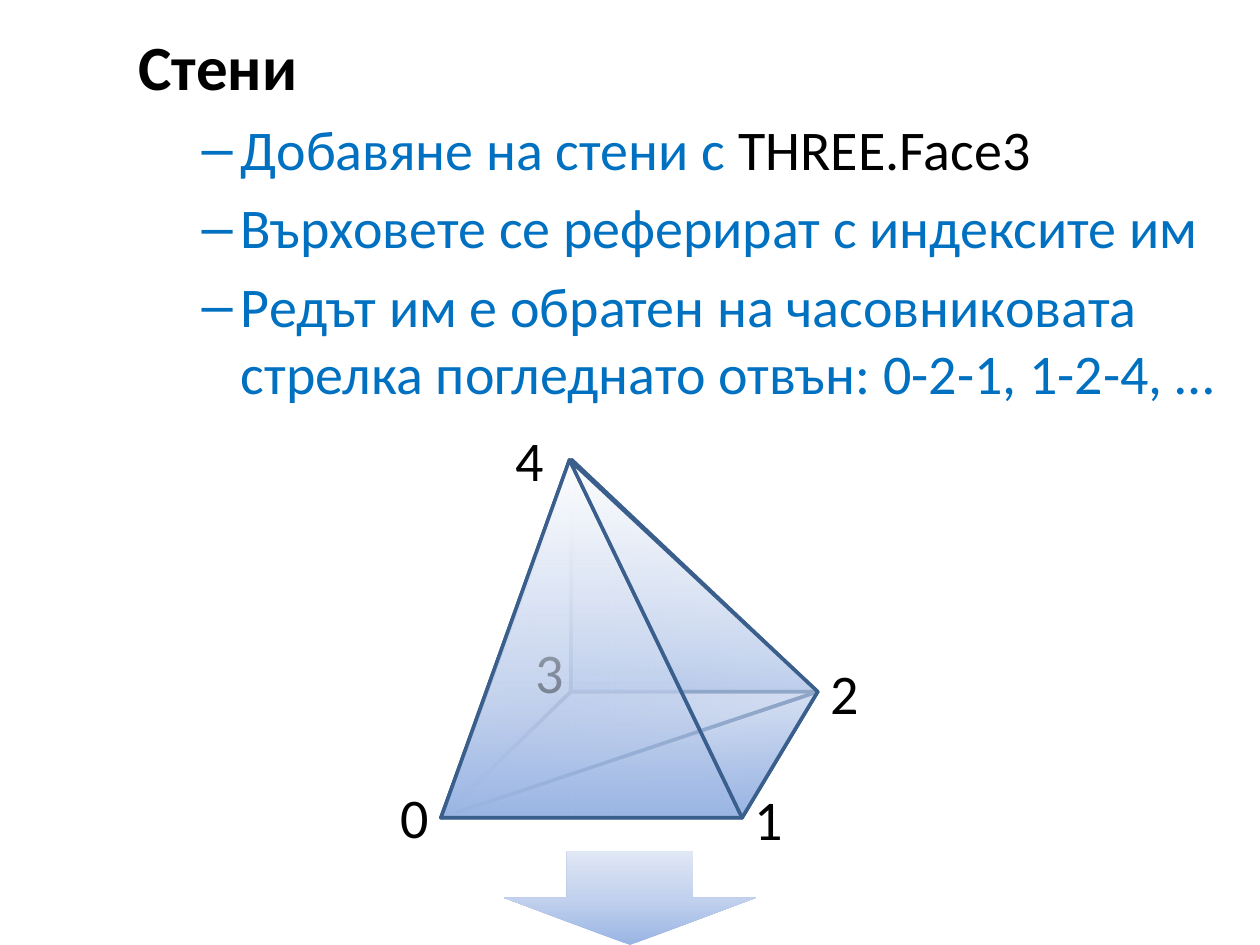
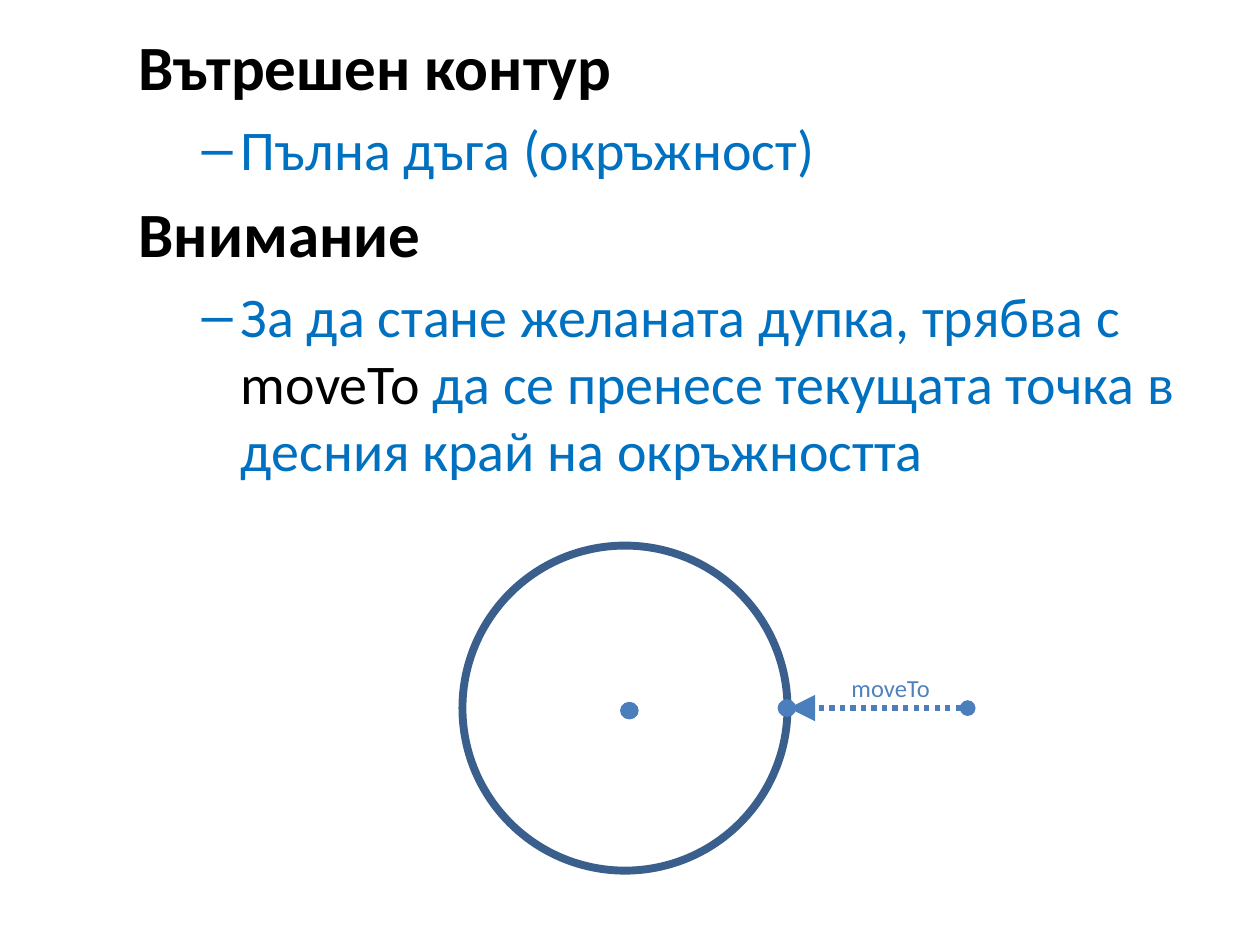
from dataclasses import dataclass

from lxml import etree
from pptx import Presentation
from pptx.dml.color import RGBColor
from pptx.enum.dml import MSO_LINE
from pptx.enum.shapes import MSO_CONNECTOR, MSO_SHAPE
from pptx.enum.text import MSO_AUTO_SIZE
from pptx.oxml.ns import qn
from pptx.util import Emu, Pt

DASH, DOTTED = MSO_LINE.DASH, MSO_LINE.ROUND_DOT
STRAIGHT = MSO_CONNECTOR.STRAIGHT
ELLIPSE, DOWN_ARROW = MSO_SHAPE.OVAL, MSO_SHAPE.DOWN_ARROW
NO_FIT, GROW = MSO_AUTO_SIZE.NONE, MSO_AUTO_SIZE.SHAPE_TO_FIT_TEXT

EMU_PER_PX = 9144
FONT = "Calibri"
BLACK, BLUE = "000000", "0070C0"
EDGE, ACCENT, CAPTION = "3A5F8C", "4B7EBC", "4F81BD"

SOLID = ((0, "9AB5E4", 100), (50, "C2D1ED", 100), (100, "E1E8F5", 100))
FADING = ((0, "9AB5E4", 100), (50, "C2D1ED", 47), (100, "E1E8F5", 0))
GLASS = ((0, "9AB5E4", 100), (33, "C2D1ED", 61), (100, "FFFFFF", 100))

V0, V1, V2, V3 = (350, 649), (589, 649), (649, 549), (453, 549)
APEX, BACK_APEX = (452, 365), (454, 365)


@dataclass
class Line:
    level: int
    pieces: tuple


@dataclass
class Label:
    text: str
    box: tuple
    size: int = 32
    color: str = BLACK


@dataclass
class Face:
    points: tuple
    angle: int
    stops: tuple = FADING


@dataclass
class Arrow:
    start: tuple
    end: tuple
    width: float
    dash: int
    tail: str
    head_size: str


def heading(text: str) -> Line:
    return Line(0, ((text, BLACK),))


def bullet(*pieces: tuple) -> Line:
    return Line(1, pieces)


FACES_TEXT = (
    heading("Стени"),
    bullet(("Добавяне на стени с ", BLUE), ("THREE.Face3", BLACK)),
    bullet(("Върховете се реферират с индексите им", BLUE)),
    bullet(("Редът им е обратен на часовниковата стрелка "
            "погледнато отвън: 0-2-1, 1-2-4, …", BLUE)),
)
CONTOUR_TEXT = (
    heading("Вътрешен контур"),
    bullet(("Пълна дъга (окръжност)", BLUE)),
    heading("Внимание"),
    bullet(("За да стане желаната дупка, трябва с ", BLUE),
           ("moveTo ", BLACK),
           ("да се пренесе текущата точка в десния край на окръжността", BLUE)),
)

FRONT = Face((APEX, V1, V0), 270, GLASS)
PYRAMID = (
    Face((V0, V3, V2), 60),
    Face((BACK_APEX, V3, V2), 280),
    Face((BACK_APEX, V3, V0), 240),
    FRONT,
    Label("0", (308, 616, 43, 64)),
    Face((V0, V1, V2), 260),
    Label("3", (415, 501, 43, 64)),
    FRONT,
    Face((APEX, V1, V2), 270, GLASS),
    Label("1", (589, 618, 43, 64)),
    Label("2", (649, 518, 43, 64)),
    Label("4", (399, 333, 43, 64)),
)
MOVE_LABEL = Label("moveTo", (666, 529, 83, 34), 14, CAPTION)
ARROWS = (
    Arrow((625, 562), (624, 562), 0.75, DASH, "oval", "lg"),
    Arrow((768, 562), (626, 562), 3, DOTTED, "triangle", "med"),
    Arrow((500, 564), (499, 564), 0.75, DASH, "oval", "lg"),
)


def px(*values: int) -> list:
    return [Emu(v * EMU_PER_PX) for v in values]


def rgb(color: str) -> RGBColor:
    return RGBColor.from_string(color)


def style_run(r, size: int, color: str, bold: bool = False) -> None:
    r.font.name = FONT
    r.font.size = Pt(size)
    r.font.bold = bold
    r.font.color.rgb = rgb(color)


def set_line(sp, color: str, width: float) -> None:
    sp.line.color.rgb = rgb(color)
    sp.line.width = Pt(width)


def set_gradient(sp, stops: tuple, angle: int) -> None:
    sp.fill.gradient()
    grad = sp.fill._xPr.find(qn("a:gradFill"))
    for child in list(grad):
        grad.remove(child)
    gs_list = etree.SubElement(grad, qn("a:gsLst"))
    for position, color, alpha in stops:
        gs = etree.SubElement(gs_list, qn("a:gs"), pos=str(position * 1000))
        clr = etree.SubElement(gs, qn("a:srgbClr"), val=color)
        if alpha < 100:
            etree.SubElement(clr, qn("a:alpha"), val=str(alpha * 1000))
    etree.SubElement(grad, qn("a:lin"), ang=str(angle * 60000), scaled="0")


def add_text_slide(prs, lines: tuple):
    s = prs.slides.add_slide(prs.slide_layouts[1])
    title = s.shapes.title.element
    title.getparent().remove(title)
    body = s.placeholders[1]
    body.left, body.top, body.width, body.height = px(100, 17, 900, 717)
    tf = body.text_frame
    tf.auto_size = NO_FIT
    for i, line in enumerate(lines):
        p = tf.add_paragraph() if i else tf.paragraphs[0]
        p.level = line.level
        is_heading = line.level == 0
        if is_heading:
            pPr = p._p.get_or_add_pPr()
            pPr.set("marL", "0")
            pPr.set("indent", "0")
            etree.SubElement(pPr, qn("a:buNone"))
        for text, color in line.pieces:
            r = p.add_run()
            r.text = text
            style_run(r, 36 if is_heading else 32, color, is_heading)
    return s


def add_label(s, label: Label) -> None:
    tf = s.shapes.add_textbox(*px(*label.box)).text_frame
    tf.word_wrap = False
    tf.auto_size = GROW
    tf.text = label.text
    style_run(tf.paragraphs[0].runs[0], label.size, label.color)


def add_face(s, face: Face) -> None:
    builder = s.shapes.build_freeform(*face.points[0], scale=EMU_PER_PX)
    builder.add_line_segments(face.points[1:], close=True)
    sp = builder.convert_to_shape()
    sp.shadow.inherit = False
    set_gradient(sp, face.stops, face.angle)
    set_line(sp, EDGE, 2)


def add_arrow(s, arrow: Arrow) -> None:
    sp = s.shapes.add_connector(STRAIGHT, *px(*arrow.start, *arrow.end))
    set_line(sp, ACCENT, arrow.width)
    sp.line.dash_style = arrow.dash
    ln = sp.line._get_or_add_ln()
    etree.SubElement(ln, qn("a:headEnd"), type="oval",
                     w=arrow.head_size, len=arrow.head_size)
    etree.SubElement(ln, qn("a:tailEnd"), type=arrow.tail, w="lg", len="lg")
    etree.SubElement(sp._element.spPr, qn("a:effectLst"))


def build_faces_slide(prs) -> None:
    s = add_text_slide(prs, FACES_TEXT)
    sp = s.shapes.add_shape(DOWN_ARROW, *px(400, 675, 200, 75))
    sp.shadow.inherit = False
    set_gradient(sp, SOLID, 270)
    sp.line.fill.background()
    for part in PYRAMID:
        if isinstance(part, Face):
            add_face(s, part)
        else:
            add_label(s, part)


def build_contour_slide(prs) -> None:
    s = add_text_slide(prs, CONTOUR_TEXT)
    sp = s.shapes.add_shape(ELLIPSE, *px(367, 433, 258, 258))
    sp.shadow.inherit = False
    sp.fill.background()
    set_line(sp, EDGE, 4.5)
    for arrow in ARROWS:
        add_arrow(s, arrow)
    add_label(s, MOVE_LABEL)


def main() -> None:
    prs = Presentation()
    prs.slide_width, prs.slide_height = px(1000, 750)
    build_faces_slide(prs)
    build_contour_slide(prs)
    prs.save("out.pptx")


if __name__ == "__main__":
    main()
